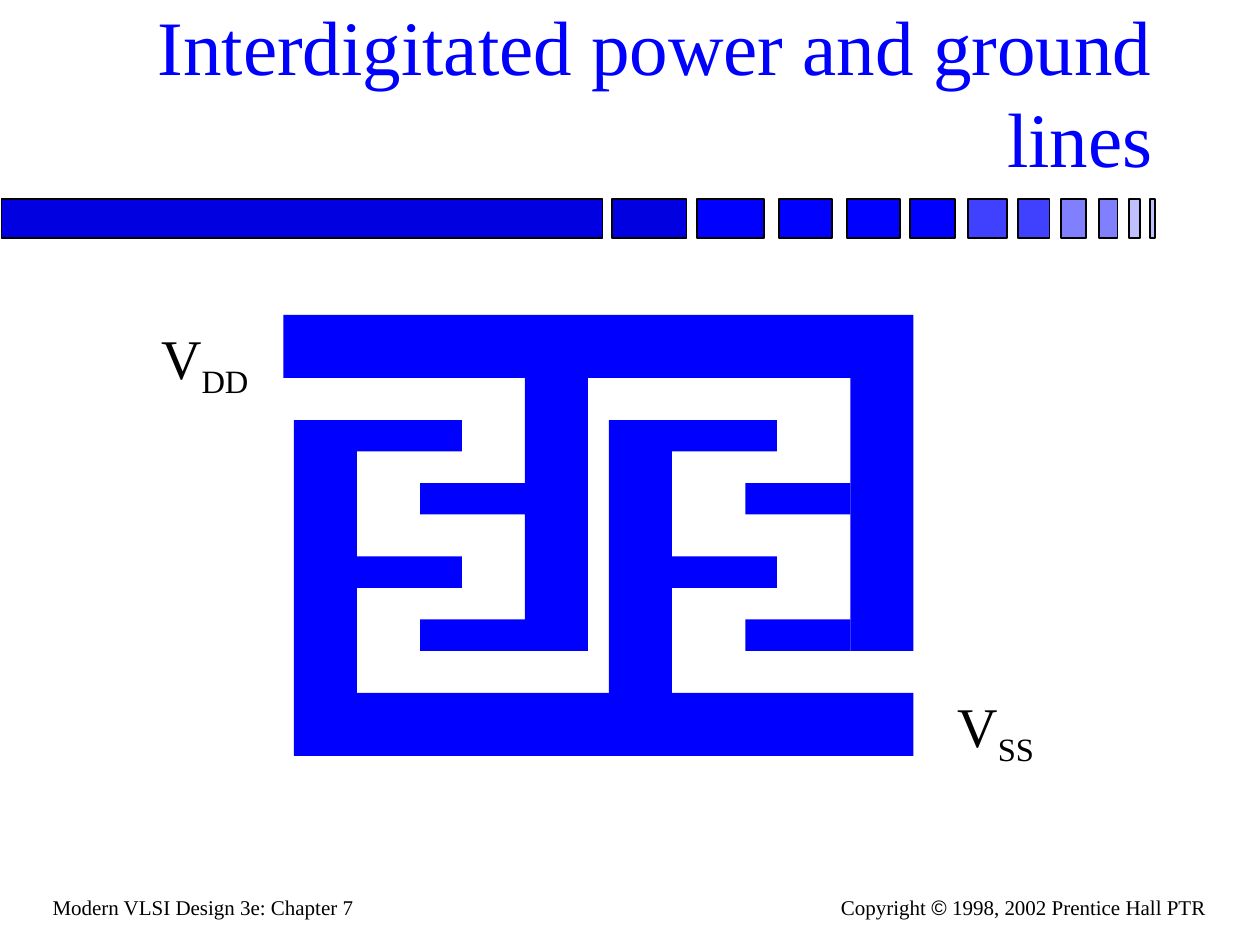
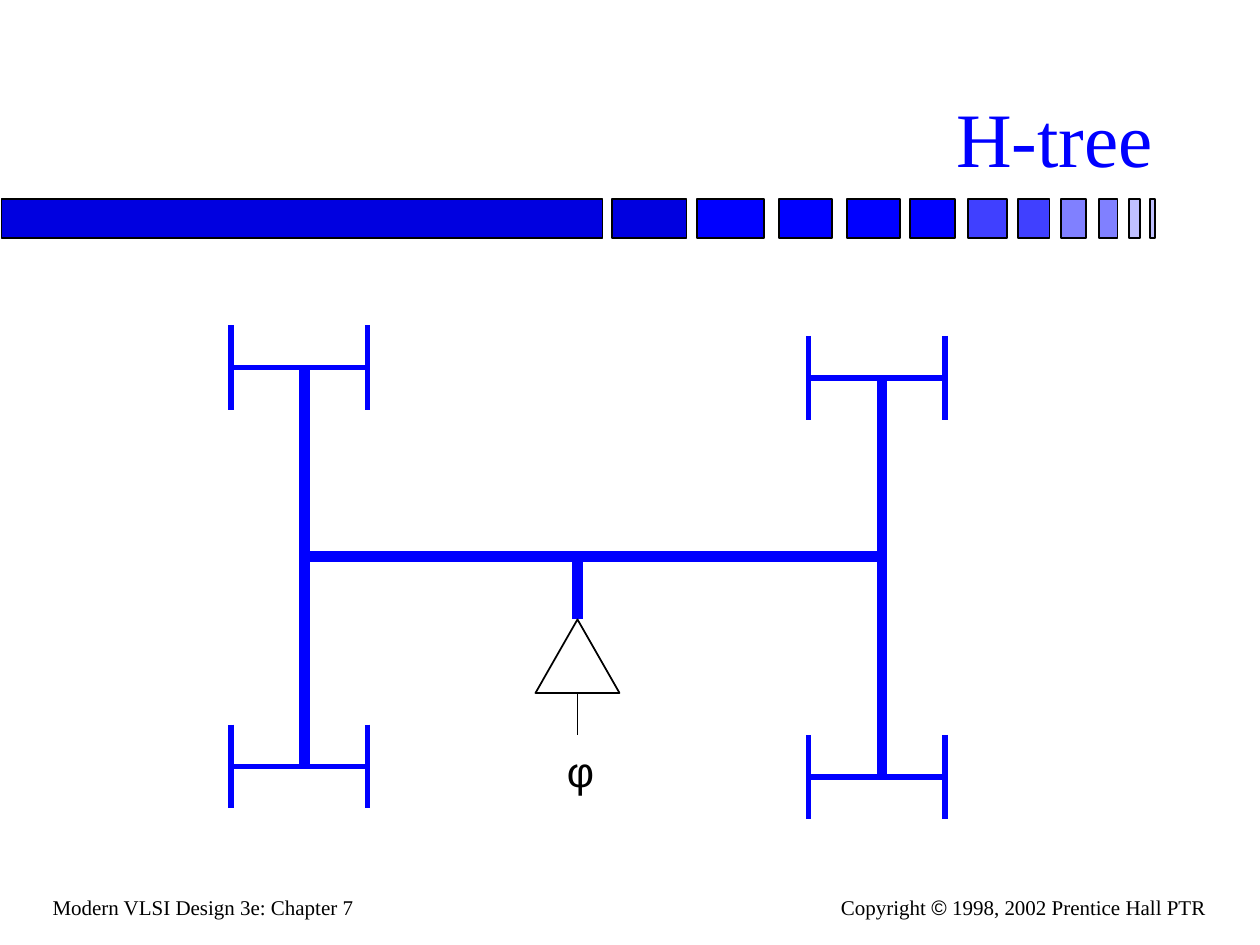
from lxml import etree
from pptx import Presentation
from pptx.dml.color import RGBColor
from pptx.enum.shapes import MSO_CONNECTOR, MSO_SHAPE
from pptx.enum.text import MSO_ANCHOR, PP_ALIGN
from pptx.oxml.ns import qn
from pptx.util import Cm, Pt

RECT = MSO_SHAPE.RECTANGLE
CONE = MSO_SHAPE.ISOSCELES_TRIANGLE
WIRE = MSO_CONNECTOR.STRAIGHT
LEFT, RIGHT = PP_ALIGN.LEFT, PP_ALIGN.RIGHT
TOP, BASE = MSO_ANCHOR.TOP, MSO_ANCHOR.BOTTOM

BLUE, BLACK, WHITE = "0000FF", "000000", "FFFFFF"
SERIF, SANS = "Times New Roman", "Arial"
STEP = 2.54 / 12
BAND = [
    (0.03, 12.12, "0000E0"), (12.34, 1.5, "0000E0"), (14.05, 1.35, BLUE),
    (15.7, 1.07, BLUE), (17.07, 1.07, BLUE), (18.34, 0.91, BLUE),
    (19.51, 0.79, "4040FF"), (20.52, 0.64, "4040FF"), (21.39, 0.51, "8080FF"),
    (22.15, 0.38, "8080FF"), (22.76, 0.23, "C0C0FF"), (23.19, 0.1, "C0C0FF"),
]


def tint(code):
    """Turn a hex string into a colour."""
    return RGBColor.from_string(code)


def grid(*marks):
    """Turn grid steps into centimetres."""
    return [mark * STEP for mark in marks]


class Deck:
    """Holds the style and the current slide."""

    def __init__(self):
        """Open an empty deck."""
        self.show = Presentation()
        self.show.slide_width, self.show.slide_height = Cm(25.4), Cm(19.05)
        self.slide = None

    def page(self, title):
        """Start a slide with its title, band and footers."""
        self.slide = self.show.slides.add_slide(self.show.slide_layouts[6])
        for left, width, fill in BAND:
            self.block((left, 4.01, width, 0.79), fill, BLACK)
        self.text((0.81, 17.91, 6.58, 0.76), ["Modern VLSI Design 3e: Chapter 7"], 12)
        parts = ["Copyright ", "©", " 1998, 2002 Prentice Hall PTR"]
        runs = self.text((16.69, 17.91, 7.87, 0.76), parts, 12, align=RIGHT)
        runs[1].font.name = SANS
        self.text((1.9, 0.53, 21.59, 3.28), [title], 44, BLUE, align=RIGHT,
                  anchor=BASE, wrap=True)

    def block(self, area, fill=BLUE, line=None, kind=RECT):
        """Draw a filled shape."""
        shape = self.slide.shapes.add_shape(kind, *map(Cm, area))
        shape.shadow.inherit = False
        shape.fill.solid()
        shape.fill.fore_color.rgb = tint(fill)
        if line:
            shape.line.color.rgb = tint(line)
            shape.line.width = Pt(1)
        else:
            shape.line.fill.background()

    def wire(self, ends, width, color=BLUE):
        """Draw a straight line."""
        line = self.slide.shapes.add_connector(WIRE, *map(Cm, ends))
        line.line.color.rgb = tint(color)
        line.line.width = Pt(width)
        etree.SubElement(line._element.spPr, qn("a:effectLst"))

    def text(self, area, parts, size, color=BLACK, font=SERIF, align=LEFT,
             anchor=TOP, wrap=False):
        """Write one paragraph and return its runs."""
        frame = self.slide.shapes.add_textbox(*map(Cm, area)).text_frame
        frame.word_wrap = wrap
        frame.vertical_anchor = anchor
        para = frame.paragraphs[0]
        para.alignment = align
        for part in parts:
            run = para.add_run()
            run.text = part
            run.font.size = Pt(size)
            run.font.name = font
            run.font.color.rgb = tint(color)
        return para.runs

    def volt(self, area, sub):
        """Label a supply with its subscript."""
        runs = self.text(area, ["V", sub], 32)
        runs[1].font._element.set("baseline", "-25000")

    def comb(self, left, top, side, rows):
        """Draw a column with its fingers."""
        self.block(grid(left, top, 6, 26))
        for row in rows:
            self.block(grid(left + side, row, 10, 3))

    def leaf(self, mid, row):
        """Draw a small H at the end of a trunk."""
        ends = mid - 7, mid + 6
        self.wire(grid(ends[0], row, ends[1], row), 3)
        for end in ends:
            self.wire(grid(end, row - 4, end, row + 4), 3)


def lines(deck):
    """Build the slide of power and ground lines."""
    deck.page("Interdigitated power and ground lines")
    deck.block(grid(27, 30, 60, 6))
    for left in (81, 50):
        deck.comb(left, 36, -10, (46, 59))
    deck.block(grid(28, 66, 59, 6))
    for left in (58, 28):
        deck.comb(left, 40, 6, (40, 53))
    deck.volt((3, 6.4, 2.26, 1.52), "DD")
    deck.volt((19.05, 13.82, 2.06, 1.52), "SS")


def tree(deck):
    """Build the slide of the clock tree."""
    deck.page("H-tree")
    deck.wire(grid(29, 53, 84, 53), 6)
    for mid, top in ((29, 35), (84, 36)):
        deck.wire(grid(mid, top, mid, top + 38), 6)
        for row in (top, top + 38):
            deck.leaf(mid, row)
    deck.wire(grid(55, 53, 55, 59), 6)
    deck.block(grid(51, 59, 8, 7), WHITE, BLACK, CONE)
    deck.wire(grid(55, 66, 55, 70), 1, BLACK)
    deck.text((11.18, 14.91, 0.94, 1.27), ["φ"], 24, font=SANS)


def main():
    """Build and save the deck."""
    deck = Deck()
    lines(deck)
    tree(deck)
    deck.show.save("out.pptx")


if __name__ == "__main__":
    main()
